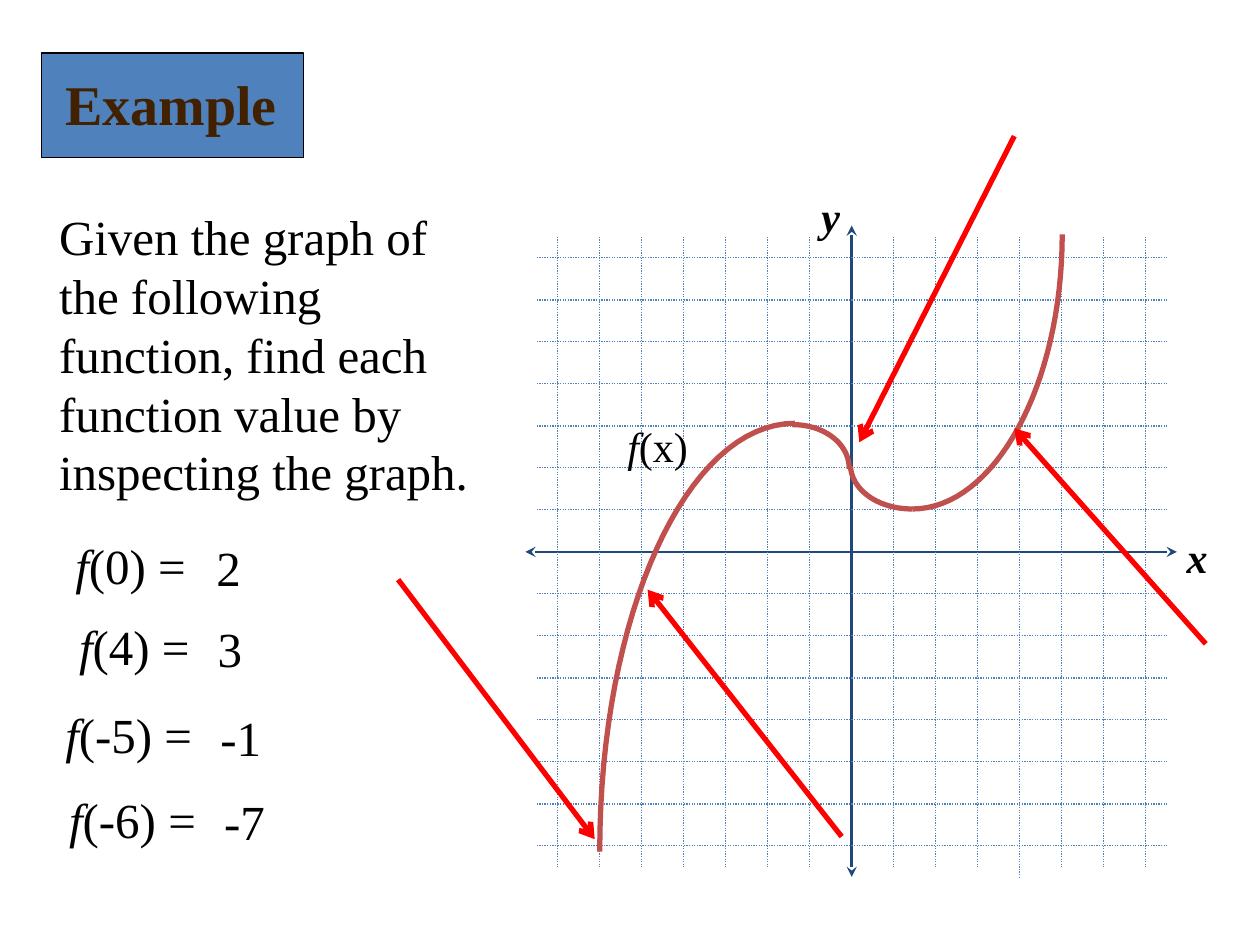
"""Build a slide on reading function values from a graph."""
from dataclasses import dataclass

from lxml import etree
from pptx import Presentation
from pptx.dml.color import RGBColor
from pptx.enum.dml import MSO_LINE_DASH_STYLE as Dash
from pptx.enum.shapes import MSO_CONNECTOR as Connector, MSO_SHAPE as Shape
from pptx.oxml.ns import qn
from pptx.util import Inches, Pt


@dataclass(frozen=True)
class Theme:
    font: str = "Times New Roman"
    ink: str = "000000"
    title_ink: str = "422100"
    panel: str = "4F81BD"
    axis: str = "1F497D"
    curve: str = "C0504D"
    pointer: str = "FF0000"
    title_size: int = 32
    body_size: int = 28
    label_size: int = 24
    thin: float = 0.75
    medium: float = 1.5
    thick: float = 3


class Canvas:
    """Hold the theme and the current page."""

    def __init__(self, page, theme):
        self.page, self.theme = page, theme

    def stroke(self, line, color, width):
        line.color.rgb = RGBColor.from_string(color)
        line.width = Pt(width)

    def panel(self, left, top, width, height):
        panel = self.page.shapes.add_shape(
            Shape.RECTANGLE, Inches(left), Inches(top), Inches(width), Inches(height))
        panel.shadow.inherit = False
        panel.fill.solid()
        panel.fill.fore_color.rgb = RGBColor.from_string(self.theme.panel)
        self.stroke(panel.line, self.theme.ink, self.theme.thin)

    def text(self, at, spans, size, color=None, bold=None, wrap=True):
        box = self.page.shapes.add_textbox(*map(Inches, at))
        box.text_frame.word_wrap = wrap
        para = box.text_frame.paragraphs[0]
        para.font.name, para.font.size, para.font.bold = self.theme.font, Pt(size), bold
        para.font.color.rgb = RGBColor.from_string(color or self.theme.ink)
        for words, italic in spans:
            span = para.add_run()
            span.text = words
            if italic:
                span.font.italic = True

    def line(self, start, end, color, width, dash=None, head=None, tail=None):
        line = self.page.shapes.add_connector(
            Connector.STRAIGHT, *map(Inches, (*start, *end)))
        self.stroke(line.line, color, width)
        if dash:
            line.line.dash_style = dash
        outline = line.line._get_or_add_ln()
        for tag, kind in (("a:headEnd", head), ("a:tailEnd", tail)):
            if kind:
                etree.SubElement(outline, qn(tag)).set("type", kind)
        etree.SubElement(line._element.spPr, qn("a:effectLst"))

    def curve(self, *controls, steps=32):
        points = []
        for step in range(steps + 1):
            t = step / steps
            weights = ((1 - t) ** 3, 3 * t * (1 - t) ** 2, 3 * t * t * (1 - t), t ** 3)
            points.append(tuple(
                Inches(sum(w * c for w, c in zip(weights, axis)))
                for axis in zip(*controls)))
        builder = self.page.shapes.build_freeform(*points[0])
        builder.add_line_segments(points[1:], close=False)
        curve = builder.convert_to_shape()
        curve.shadow.inherit = False
        curve.fill.background()
        self.stroke(curve.line, self.theme.curve, self.theme.thick)


theme = Theme()
deck = Presentation()
deck.slide_width, deck.slide_height = Inches(10), Inches(7.5)
canvas = Canvas(deck.slides.add_slide(deck.slide_layouts[6]), theme)

canvas.panel(0.33, 0.42, 2.08, 0.83)
canvas.text((0.42, 0.5, 1.91, 0.63), [("Example", False)],
            theme.title_size, theme.title_ink, bold=True)
canvas.text((0.37, 1.59, 3.48, 2.44),
            [("Given the graph of the following function, find each "
              "function value by inspecting the graph.", False)], theme.body_size)

origin_x, origin_y, unit, reach = 6.76, 4.38, 1 / 3, 2.5
for start, end in (
    ((origin_x, 1.79), (origin_x, 6.96)),
    ((4.17, origin_y), (9.34, origin_y)),
):
    canvas.line(start, end, theme.axis, theme.medium, head="stealth", tail="stealth")
for index in range(-7, 8):
    if index:
        x, y = origin_x + index * unit, origin_y + index * unit
        bottom = 6.96 if index == 4 else origin_y + reach
        for start, end in (
            ((origin_x - reach, y), (origin_x + reach, y)),
            ((x, origin_y - reach), (x, bottom)),
        ):
            canvas.line(start, end, theme.panel, theme.thin, Dash.ROUND_DOT)
for name, at in (("x", (9.32, 4.17, 0.37, 0.5)), ("y", (6.42, 1.46, 0.35, 0.5))):
    canvas.text(at, [(name, True)], theme.label_size, bold=True, wrap=False)

for controls in (
    ((7.24, 4.04), (7.89, 4.04), (8.43, 3.06), (8.43, 1.86)),
    ((7.24, 4.04), (6.97, 4.04), (6.76, 3.89), (6.75, 3.7)),
    ((6.29, 3.37), (6.54, 3.37), (6.74, 3.52), (6.74, 3.72)),
    ((6.31, 3.36), (5.45, 3.36), (4.76, 4.88), (4.76, 6.76)),
):
    canvas.curve(*controls)
canvas.text((4.88, 3.29, 0.69, 0.5), [("f", True), ("(x)", False)], theme.label_size)

for argument, value, left, top, width, value_left, value_top, value_width in (
    ("0", "2", 0.5, 4.2, 1.16, 1.62, 4.22, 0.44),
    ("4", "3", 0.53, 4.84, 1.16, 1.63, 4.86, 0.44),
    ("-5", "-1", 0.42, 5.54, 1.25, 1.65, 5.57, 0.59),
    ("-6", "-7", 0.45, 6.22, 1.25, 1.68, 6.23, 0.63),
):
    canvas.text((left, top, width, 0.57),
                [("f", True), (f"({argument}) =", False)], theme.body_size)
    canvas.text((value_left, value_top, value_width, 0.57),
                [(value, False)], theme.body_size)

for start, end in (
    ((8.05, 1.08), (6.82, 3.51)),
    ((9.57, 5.11), (8.05, 3.4)),
    ((6.68, 6.64), (5.14, 4.68)),
    ((3.16, 4.6), (4.72, 6.66)),
):
    canvas.line(start, end, theme.pointer, theme.thick, tail="arrow")

deck.save("out.pptx")
